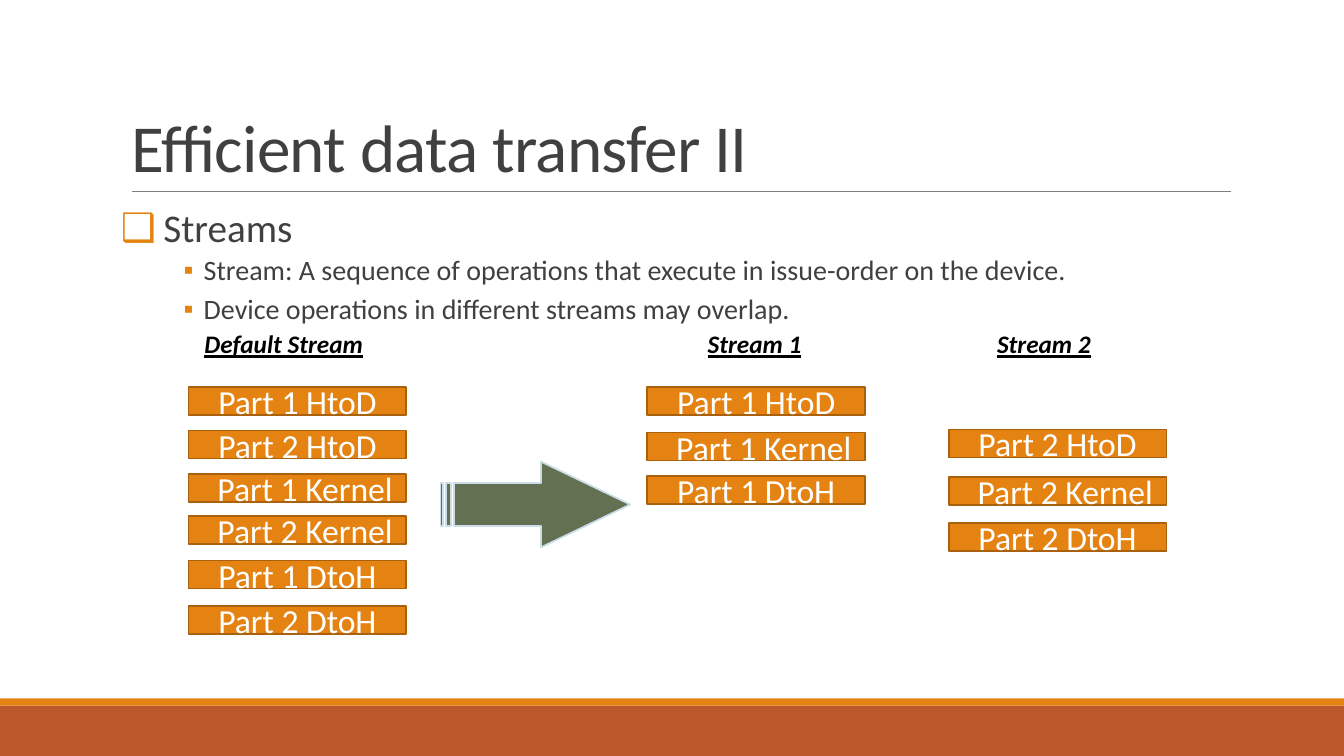
from dataclasses import dataclass

from lxml.etree import SubElement
from pptx import Presentation
from pptx.dml.color import RGBColor
from pptx.enum.shapes import MSO_CONNECTOR, MSO_SHAPE
from pptx.enum.text import MSO_ANCHOR as Anchor, MSO_AUTO_SIZE as AutoSize, PP_ALIGN as Align
from pptx.oxml.ns import qn
from pptx.util import Pt

PX = 9144  # EMU; 100 px to the inch
FONT = "Calibri"
ORANGE = RGBColor(0xE4, 0x83, 0x12)
DARK_ORANGE = RGBColor(0xA9, 0x61, 0x0D)
RUST = RGBColor(0xBD, 0x58, 0x2C)
GREEN = RGBColor(0x63, 0x70, 0x52)
PALE_BLUE = RGBColor(0xCC, 0xDD, 0xEA)
GREY = RGBColor(0x80, 0x80, 0x80)
CHARCOAL = RGBColor(0x40, 0x40, 0x40)
BLACK = RGBColor(0, 0, 0)
WHITE = RGBColor(0xFF, 0xFF, 0xFF)

OPERATION_WIDTH, OPERATION_HEIGHT = 216, 28
HEADING_TOP, HEADING_HEIGHT = 321, 40
KERNEL_INSET = 25


@dataclass
class Operation:
    name: str
    top: int


@dataclass
class Stream:
    heading: str
    heading_left: int
    heading_width: int
    left: int
    operations: list[Operation]


@dataclass
class Bullet:
    text: str
    size: int
    level: int
    mark: str
    margin: int
    hanging: int
    before: int
    after: int


STREAMS = [
    Stream("Default Stream", 193, 203, 187, [
        Operation("Part 1 HtoD", 384), Operation("Part 2 HtoD", 427),
        Operation("Part 1 Kernel", 470), Operation("Part 2 Kernel", 512),
        Operation("Part 1 DtoH", 556), Operation("Part 2 DtoH", 601)]),
    Stream("Stream 1", 692, 118, 642, [
        Operation("Part 1 HtoD", 384), Operation("Part 1 Kernel", 429),
        Operation("Part 1 DtoH", 472)]),
    Stream("Stream 2", 979, 118, 941, [
        Operation("Part 2 HtoD", 426), Operation("Part 2 Kernel", 473),
        Operation("Part 2 DtoH", 519)]),
]

BULLETS = [
    Bullet("Streams", 28, 0, "❑", 42, 42, 0, 2),
    Bullet("Stream: A sequence of operations that execute in issue-order on the device.",
           20, 3, "▪", 82, 20, 2, 4),
    Bullet("Device operations in different streams may overlap.",
           20, 3, "▪", 82, 20, 2, 4),
]


def write(para, text: str, *, size: int, color: RGBColor, align=Align.LEFT,
          emphasis: bool = False, spacing: int = 0):
    """Emphasis is bold, italic and underlined; spacing is in hundredths of a point."""
    para.alignment = align
    span = para.add_run()
    span.text = text
    font = span.font
    font.name, font.size = FONT, Pt(size)
    font.color.rgb = color
    font.bold = font.italic = font.underline = emphasis
    if spacing:
        span._r.get_or_add_rPr().set("spc", str(spacing))


def place(shape, left: int, top: int, width: int, height: int):
    shape.left, shape.top = left * PX, top * PX
    shape.width, shape.height = width * PX, height * PX


def add_block(page, kind, left: int, top: int, width: int, height: int,
              fill: RGBColor, outline: RGBColor | None = None):
    block = page.shapes.add_shape(kind, left * PX, top * PX, width * PX, height * PX)
    block.shadow.inherit = False
    block.fill.solid()
    block.fill.fore_color.rgb = fill
    if outline is None:
        block.line.fill.background()
    else:
        block.line.color.rgb = outline
        block.line.width = Pt(1.25)
    return block


def add_rule(page, left: int, right: int, y: int):
    rule = page.shapes.add_connector(MSO_CONNECTOR.STRAIGHT,
                                     left * PX, y * PX, right * PX, y * PX)
    rule.line.color.rgb = GREY
    rule.line.width = Pt(0.5)
    SubElement(rule._element.spPr, qn("a:effectLst"))


def fill_title(title):
    place(title, 120, 31, 1100, 159)
    frame = title.text_frame
    frame.auto_size = AutoSize.NONE
    frame.vertical_anchor = Anchor.BOTTOM
    para = frame.paragraphs[0]
    para.line_spacing = 0.85
    write(para, "Efficient data transfer II", size=48, color=CHARCOAL, spacing=-50)


def add_bullet_mark(para, bullet: Bullet):
    properties = para._p.get_or_add_pPr()
    properties.set("marL", str(bullet.margin * PX))
    properties.set("indent", str(-bullet.hanging * PX))
    color = SubElement(properties, qn("a:buClr"))
    SubElement(color, qn("a:srgbClr"), val=str(ORANGE))
    SubElement(properties, qn("a:buChar"), char=bullet.mark)


def fill_body(body, bullets: list[Bullet]):
    place(body, 120, 202, 1100, 440)
    frame = body.text_frame
    frame.auto_size = AutoSize.NONE
    frame.margin_left = frame.margin_right = 0
    for index, bullet in enumerate(bullets):
        para = frame.add_paragraph() if index else frame.paragraphs[0]
        para.level = bullet.level
        add_bullet_mark(para, bullet)
        para.line_spacing = 0.9
        para.space_before, para.space_after = Pt(bullet.before), Pt(bullet.after)
        write(para, bullet.text, size=bullet.size, color=CHARCOAL)


def draw_stream(page, stream: Stream):
    heading = page.shapes.add_textbox(stream.heading_left * PX, HEADING_TOP * PX,
                                      stream.heading_width * PX, HEADING_HEIGHT * PX)
    heading.text_frame.word_wrap = True
    heading.text_frame.auto_size = AutoSize.SHAPE_TO_FIT_TEXT
    write(heading.text_frame.paragraphs[0], stream.heading,
          size=18, color=BLACK, emphasis=True)
    for operation in stream.operations:
        box = add_block(page, MSO_SHAPE.RECTANGLE, stream.left, operation.top,
                        OPERATION_WIDTH, OPERATION_HEIGHT, ORANGE, DARK_ORANGE)
        frame = box.text_frame
        frame.word_wrap = True
        frame.vertical_anchor = Anchor.MIDDLE
        if operation.name.endswith("Kernel"):
            frame.margin_left = KERNEL_INSET * PX
        write(frame.paragraphs[0], operation.name, size=24, color=WHITE, align=Align.CENTER)


def main():
    deck = Presentation()
    deck.slide_width, deck.slide_height = 1333 * PX, 750 * PX
    page = deck.slides.add_slide(deck.slide_layouts[1])
    fill_title(page.shapes.title)
    fill_body(page.placeholders[1], BULLETS)
    add_block(page, MSO_SHAPE.RECTANGLE, 0, 700, 1333, 50, RUST)
    add_block(page, MSO_SHAPE.RECTANGLE, 0, 693, 1333, 7, ORANGE)
    add_rule(page, 131, 1221, 190)
    arrow = add_block(page, MSO_SHAPE.STRIPED_RIGHT_ARROW, 437, 458, 188, 85,
                      GREEN, PALE_BLUE)
    arrow.adjustments[0], arrow.adjustments[1] = 0.5, 1.04
    for stream in STREAMS:
        draw_stream(page, stream)
    deck.save("out.pptx")


if __name__ == "__main__":
    main()
